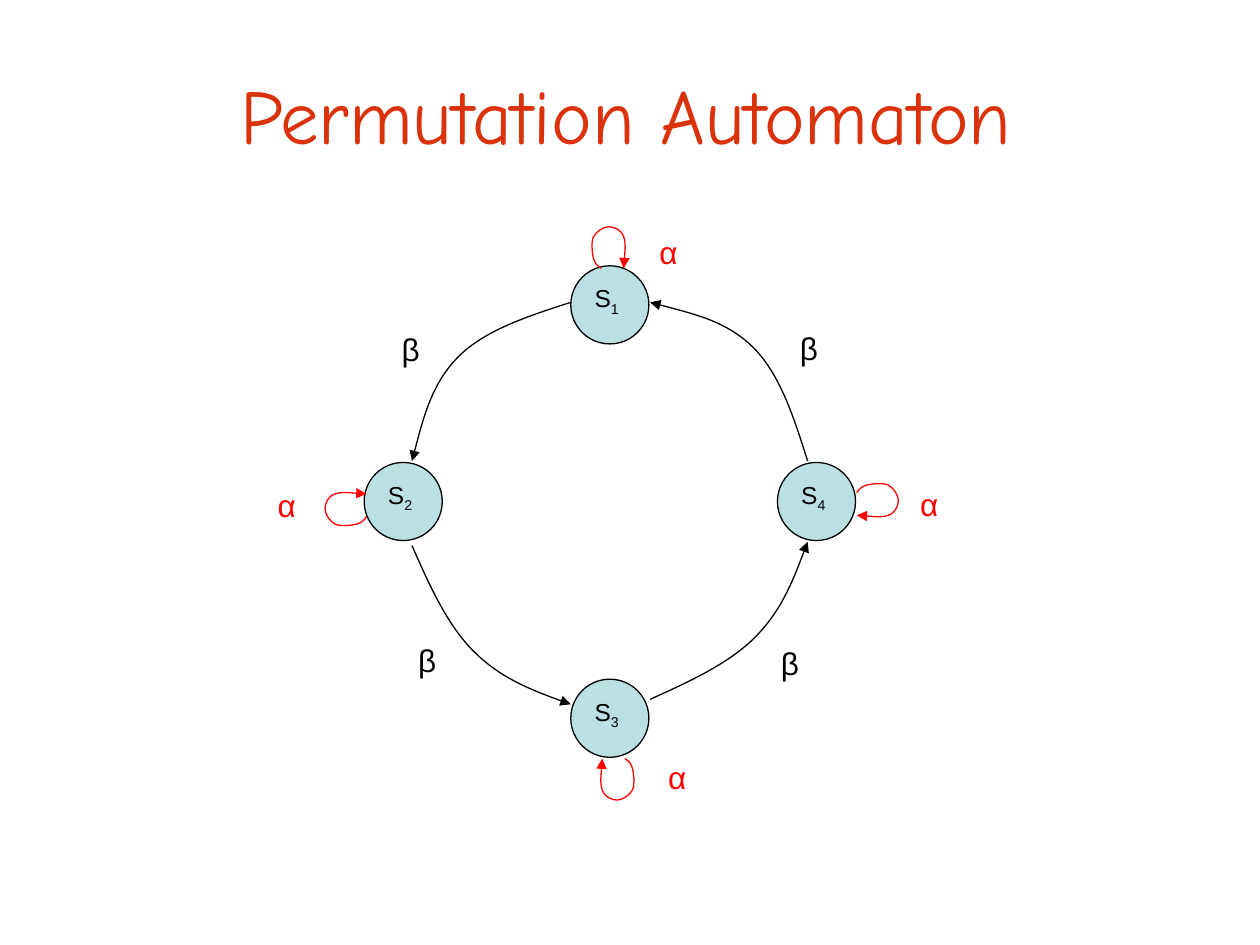
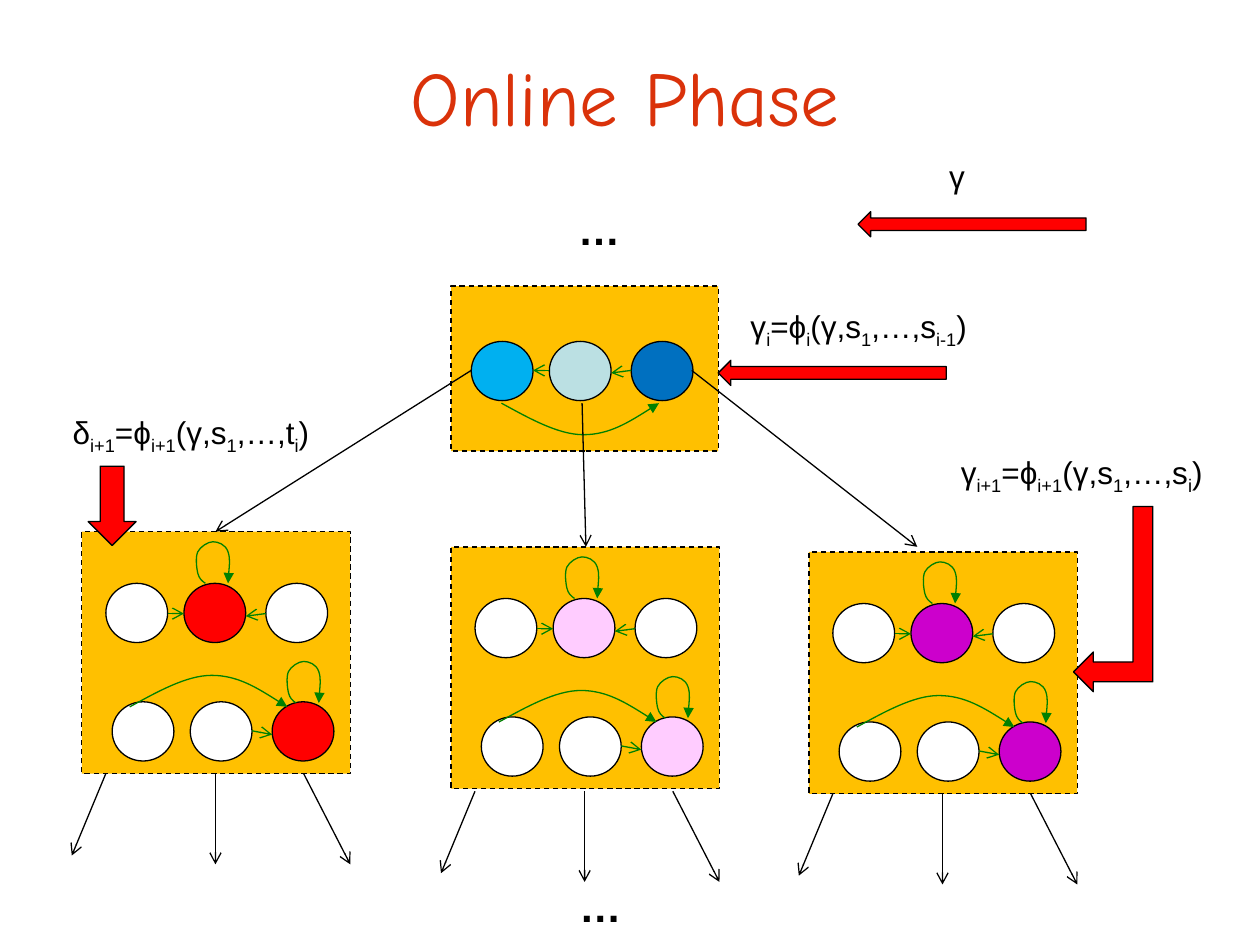
from lxml.etree import SubElement
from pptx import Presentation
from pptx.dml.color import RGBColor
from pptx.enum.dml import MSO_LINE
from pptx.enum.shapes import MSO_CONNECTOR, MSO_SHAPE
from pptx.enum.text import MSO_ANCHOR, PP_ALIGN
from pptx.oxml.ns import qn
from pptx.util import Inches, Pt

BLACK, WHITE, RED, GREEN = "000000", "FFFFFF", "FF0000", "008000"
TITLE_COLOUR, PALE_BLUE, AMBER = "DA320A", "BBE0E3", "FFC000"
TITLE_FORMAT = {"name": "Comic Neue", "size": Pt(44), "bold": False}
LABEL_FORMAT = {"name": "Arial", "size": Pt(18)}
STATE_FORMAT = {"name": "Arial", "size": Pt(14)}
DOTS_FORMAT = {"name": "Arial", "size": Pt(24), "bold": True}

LOOP = [(0, 0), (-0.03, -0.02), (-0.05, -0.04), (-0.06, -0.08),
        (-0.07, -0.12), (-0.08, -0.21), (-0.06, -0.25),
        (-0.04, -0.29), (0.02, -0.33), (0.06, -0.33),
        (0.1, -0.33), (0.16, -0.31), (0.18, -0.25),
        (0.2, -0.19), (0.18, -0.04), (0.18, 0)]
ARC = [(0, 0), (0.22, 0.12), (0.45, 0.25), (0.65, 0.25),
       (0.86, 0.25), (1.06, 0.12), (1.25, 0)]
ROW_OFFSETS = [0, 0.62, 1.27]
CIRCLE_WIDTH, CIRCLE_HEIGHT = 0.49, 0.47


def colour(hex_value):
    """Turn a hex string into a colour."""
    return RGBColor.from_string(hex_value)


def set_format(target, values):
    """Set every attribute named in a dict of format values."""
    for name, value in values.items():
        setattr(target, name, value)


def set_line(shape, hex_value, head=None):
    """Give a shape a thin line, with an arrowhead at its end if named."""
    shape.line.color.rgb = colour(hex_value)
    shape.line.width = Pt(0.75)
    if head:
        line = shape.line._get_or_add_ln()
        SubElement(line, qn("a:tailEnd"), type=head)


def write_text(paragraph, text, values, hex_value):
    """Write text in which every second part between bars is a subscript."""
    for index, part in enumerate(text.split("|")):
        if part:
            run = paragraph.add_run()
            run.text = part
            set_format(run.font, values)
            run.font.color.rgb = colour(hex_value)
            if index % 2:
                run._r.get_or_add_rPr().set("baseline", "-25000")


def add_title_slide(presentation, title, box):
    """Add a slide with its title placed in the given box."""
    slide = presentation.slides.add_slide(presentation.slide_layouts[5])
    shape = slide.shapes.title
    left, top, width, height = map(Inches, box)
    set_format(shape, {"left": left, "top": top, "width": width, "height": height})
    shape.text_frame.vertical_anchor = MSO_ANCHOR.MIDDLE
    paragraph = shape.text_frame.paragraphs[0]
    paragraph.alignment = PP_ALIGN.CENTER
    write_text(paragraph, title, TITLE_FORMAT, TITLE_COLOUR)
    return slide


def add_figure(shapes, kind, box, fill, dashed=False):
    """Add a filled preset shape with a thin black outline."""
    shape = shapes.add_shape(kind, *map(Inches, box))
    shape.shadow.inherit = False
    shape.fill.solid()
    shape.fill.fore_color.rgb = colour(fill)
    set_line(shape, BLACK)
    if dashed:
        shape.line.dash_style = MSO_LINE.DASH
    return shape


def add_label(shapes, text, box, values=LABEL_FORMAT, hex_value=BLACK):
    """Add a centred text box."""
    frame = shapes.add_textbox(*map(Inches, box)).text_frame
    frame.word_wrap = True
    paragraph = frame.paragraphs[0]
    paragraph.alignment = PP_ALIGN.CENTER
    write_text(paragraph, text, values, hex_value)


def add_arrow(shapes, ends, hex_value):
    """Add a straight arrow between two ends."""
    connector = shapes.add_connector(MSO_CONNECTOR.STRAIGHT, *map(Inches, ends))
    set_line(connector, hex_value, "arrow")
    SubElement(connector._element.spPr, qn("a:effectLst"))


def add_curve(shapes, points, hex_value):
    """Add a curved arrow from a start and triples of Bezier points."""
    start, *others = [(Inches(x), Inches(y)) for x, y in points]
    builder = shapes.build_freeform(*start)
    builder.add_line_segments(others, close=False)
    shape = builder.convert_to_shape()
    outline = shape._element.xpath(".//a:path")[0]
    for index, segment in enumerate(outline.findall(qn("a:lnTo"))):
        if index % 3 == 0:
            curve = SubElement(outline, qn("a:cubicBezTo"))
        curve.append(segment[0])
        outline.remove(segment)
    shape.fill.background()
    shape.shadow.inherit = False
    set_line(shape, hex_value, "triangle")


def add_loop(shapes, x, y, hex_value, quarter_turns=0):
    """Add a self-loop that starts at a point, turned clockwise."""
    points = LOOP
    for _ in range(quarter_turns):
        points = [(-dy, dx) for dx, dy in points]
    add_curve(shapes, [(x + dx, y + dy) for dx, dy in points], hex_value)


def add_arc(shapes, x, y, direction):
    """Add a wide green arc that bulges down (1) or up (-1)."""
    add_curve(shapes, [(x + dx, y + direction * dy) for dx, dy in ARC], GREEN)


def add_circle_row(shapes, left, top, fills, arrows):
    """Add three circles and the short arrows between them."""
    for offset, fill in zip(ROW_OFFSETS, fills):
        add_figure(shapes, MSO_SHAPE.OVAL,
                   (left + offset, top, CIRCLE_WIDTH, CIRCLE_HEIGHT), fill)
    for x1, y1, x2, y2 in arrows:
        add_arrow(shapes, (left + x1, top + y1, left + x2, top + y2), GREEN)


def add_component(slide, left, top, fill, gap=0):
    """Add one lower automaton with two circle rows and its outgoing arrows."""
    shapes = slide.shapes.add_group_shape().shapes
    add_figure(shapes, MSO_SHAPE.RECTANGLE, (left, top, 2.13, 1.92), AMBER, True)

    row_left, row_top = left + 0.19, top + 0.41
    add_circle_row(shapes, row_left, row_top, [WHITE, fill, WHITE],
                   [(1.27, 0.24, 1.11, 0.26), (0.49, 0.24, 0.62, 0.24)])
    add_loop(shapes, row_left + 0.79, row_top, GREEN)

    row_left, row_top = left + 0.24, top + 1.35
    add_circle_row(shapes, row_left, row_top, [WHITE, WHITE, fill],
                   [(1.11, 0.23, 1.27, 0.26)])
    add_loop(shapes, row_left + 1.46, row_top + 0.01, GREEN)
    add_arc(shapes, row_left + 0.14, row_top + 0.04, -1)

    start = top + 1.92 + gap
    for x1, x2, drop in [(0.19, -0.08, 0.65), (1.06, 1.06, 0.72), (1.76, 2.13, 0.72)]:
        add_arrow(shapes, (left + x1, start, left + x2, start + drop), BLACK)


def add_root(slide, left, top):
    """Add the upper automaton with its three circles."""
    shapes = slide.shapes
    add_figure(shapes, MSO_SHAPE.RECTANGLE, (left, top, 2.12, 1.31), AMBER, True)
    row_left, row_top = left + 0.16, top + 0.44
    add_circle_row(shapes, row_left, row_top, ["00B0F0", PALE_BLUE, "0070C0"],
                   [(1.27, 0.23, 1.11, 0.25), (0.62, 0.23, 0.49, 0.23)])
    add_arc(shapes, row_left + 0.24, row_top + 0.49, 1)


def add_state(slide, number, left, top):
    """Add a numbered state circle."""
    shape = add_figure(slide.shapes, MSO_SHAPE.OVAL, (left, top, 0.62, 0.62), PALE_BLUE)
    shape.text_frame.vertical_anchor = MSO_ANCHOR.TOP
    paragraph = shape.text_frame.paragraphs[0]
    paragraph.alignment = PP_ALIGN.LEFT
    write_text(paragraph, f"S|{number}", STATE_FORMAT, BLACK)


def build_permutation_slide(presentation):
    """Build the slide with the four-state cycle."""
    slide = add_title_slide(presentation, "Permutation Automaton", (0.47, 0.28, 9, 1.25))
    shapes = slide.shapes
    for number, left, top in [(1, 4.53, 2.11), (4, 6.17, 3.67),
                              (2, 2.89, 3.67), (3, 4.53, 5.39)]:
        add_state(slide, number, left, top)

    loop_starts = [(4.77, 2.13), (6.8, 3.91), (4.96, 6.02), (2.91, 4.1)]
    for turns, (x, y) in enumerate(loop_starts):
        add_loop(shapes, x, y, RED, turns)

    transitions = [
        [(6.41, 3.66), (6.3, 3.31), (6.19, 2.97), (5.98, 2.76),
         (5.77, 2.55), (5.46, 2.48), (5.16, 2.4)],
        [(3.27, 4.33), (3.41, 4.65), (3.55, 4.96), (3.76, 5.17),
         (3.97, 5.38), (4.25, 5.49), (4.53, 5.59)],
        [(5.16, 5.55), (5.47, 5.41), (5.78, 5.27), (5.99, 5.06),
         (6.2, 4.85), (6.31, 4.57), (6.41, 4.3)],
        [(4.53, 2.4), (4.19, 2.51), (3.85, 2.62), (3.64, 2.83),
         (3.43, 3.04), (3.35, 3.35), (3.27, 3.66)],
    ]
    for points in transitions:
        add_curve(shapes, points, BLACK)

    for left, top in [(2.04, 3.81), (7.14, 3.8), (5.14, 5.97), (5.07, 1.8)]:
        add_label(shapes, "α", (left, top, 0.47, 0.38), hex_value=RED)
    for left, top in [(3.04, 2.57), (6.2, 2.56), (6.05, 5.06), (3.17, 5.04)]:
        add_label(shapes, "β", (left, top, 0.44, 0.34))


def add_inputs(slide):
    """Add the input formulas and the red block arrows."""
    shapes = slide.shapes
    formulas = [
        ("γ", (7.4, 1.2, 0.39, 0.47)),
        ("γ|i|=ϕ|i|(γ,s|1|,…,s|i-1|)", (5.75, 2.39, 2.13, 0.48)),
        ("γ|i+1|=ϕ|i+1|(γ,s|1|,…,s|i|)", (7.45, 3.55, 2.27, 0.47)),
        ("δ|i+1|=ϕ|i+1|(γ,s|1|,…,t|i|)", (0.38, 3.23, 2.27, 0.48)),
    ]
    for text, box in formulas:
        add_label(shapes, text, box)
    for left, top in [(6.81, 1.68), (5.7, 2.86)]:
        add_figure(shapes, MSO_SHAPE.LEFT_ARROW, (left, top, 1.81, 0.2), RED)
    bent_arrow = add_figure(shapes, MSO_SHAPE.BENT_UP_ARROW, (8.1, 4.44, 1.47, 0.63), RED)
    bent_arrow.rotation = 270
    bent_arrow._element.spPr.xfrm.set("flipH", "1")
    add_figure(shapes, MSO_SHAPE.DOWN_ARROW, (0.7, 3.7, 0.38, 0.63), RED)


def build_online_slide(presentation):
    """Build the slide with the tree of automata."""
    slide = add_title_slide(presentation, "Online Phase", (0.46, 0.32, 9, 0.88))
    add_root(slide, 3.58, 2.27)
    for left, top in [(3.9, 6.94), (3.89, 1.57)]:
        add_label(slide.shapes, "…", (left, top, 1.73, 0.47), DOTS_FORMAT)
    for ends in [(3.74, 2.94, 1.71, 4.22), (4.62, 3.2, 4.65, 4.34),
                 (5.49, 2.94, 7.28, 4.34)]:
        add_arrow(slide.shapes, ends, BLACK)
    add_component(slide, 0.65, 4.22, RED)
    add_component(slide, 3.58, 4.34, "FFCCFF", gap=0.02)
    add_component(slide, 6.42, 4.38, "CC00CC")
    add_inputs(slide)


def main():
    """Build and save the presentation."""
    presentation = Presentation()
    set_format(presentation, {"slide_width": Inches(10), "slide_height": Inches(7.5)})
    build_permutation_slide(presentation)
    build_online_slide(presentation)
    presentation.save("out.pptx")


main()
